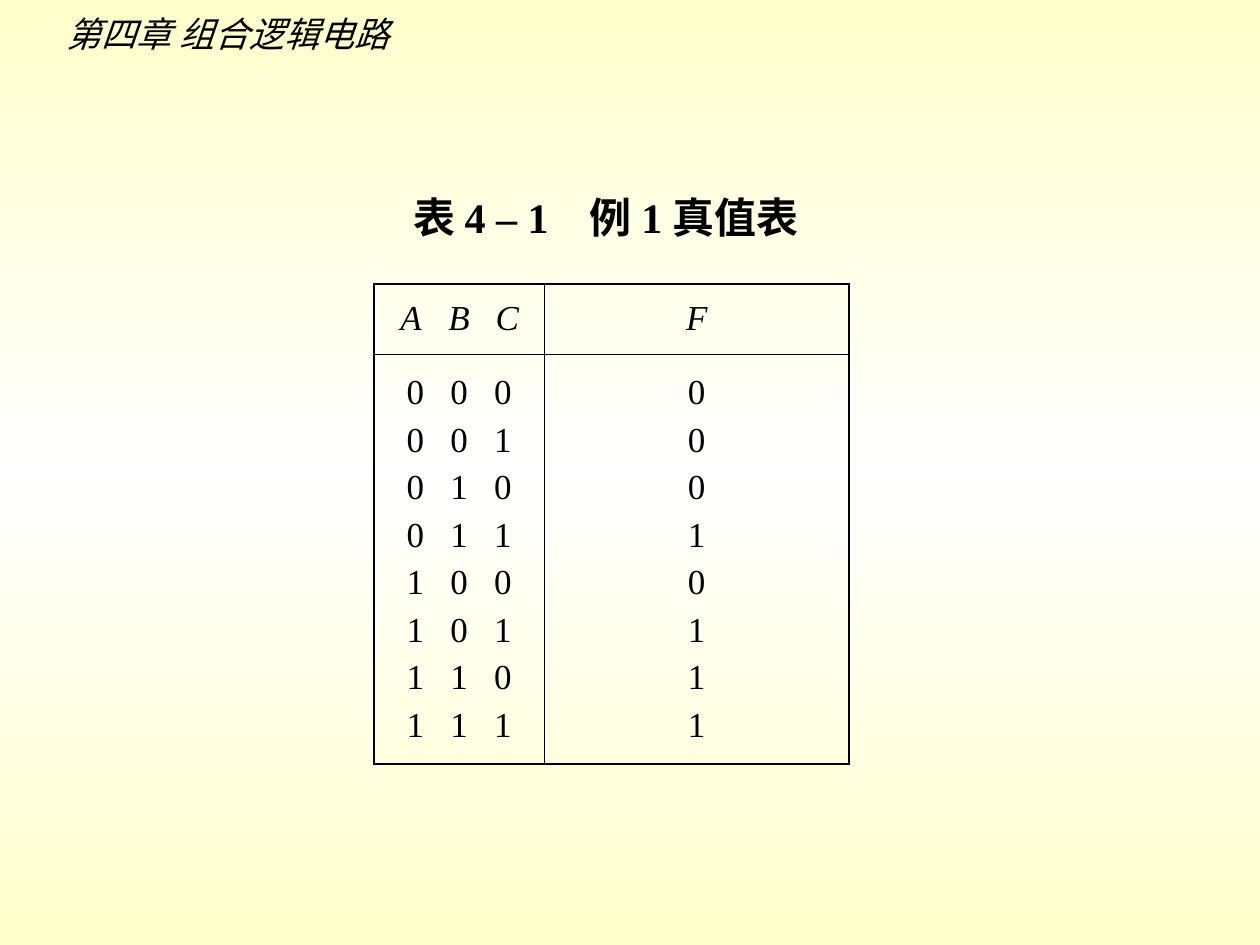
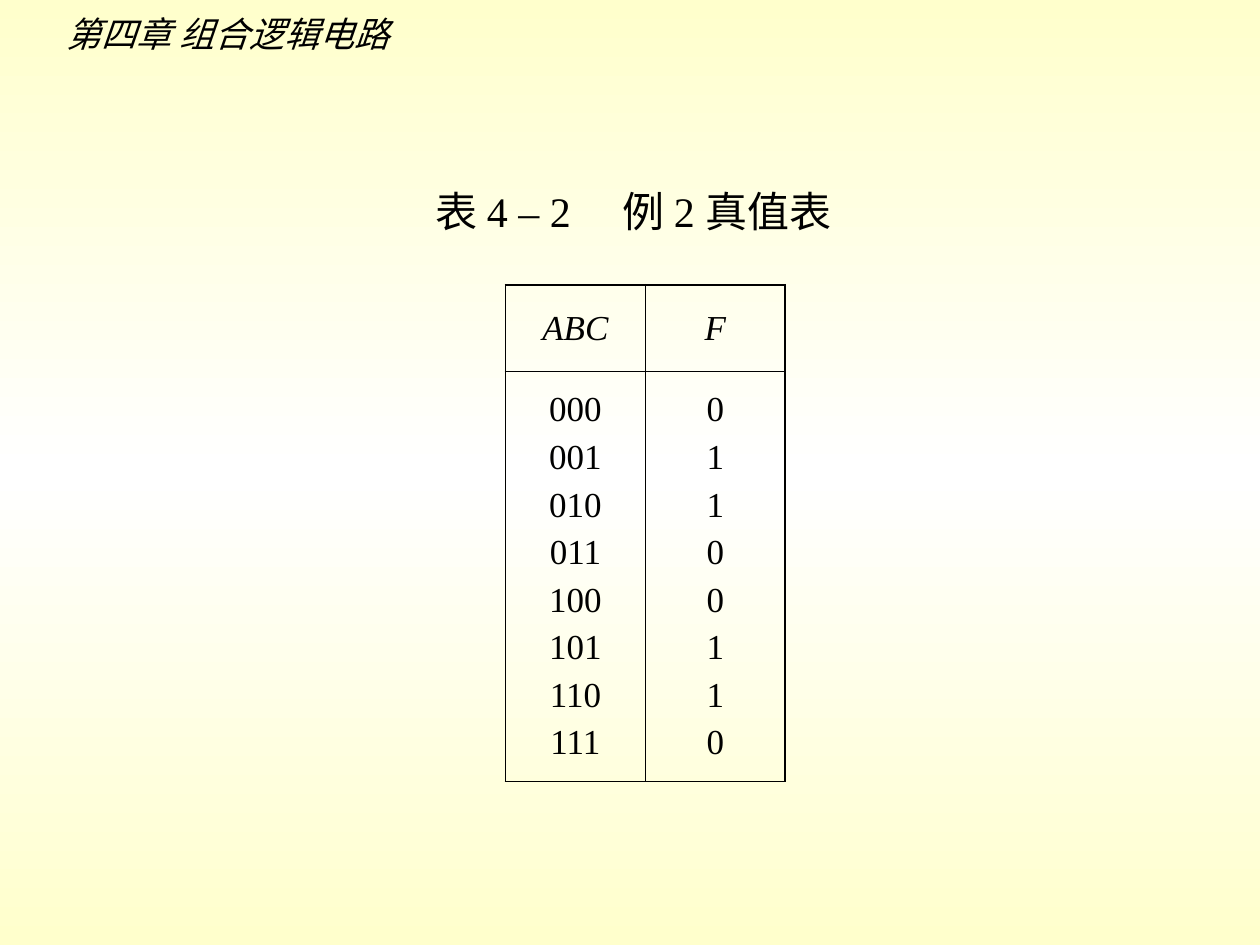
from itertools import product

from copy import deepcopy
from lxml.etree import SubElement
from pptx import Presentation
from pptx.dml.color import RGBColor
from pptx.enum.text import MSO_ANCHOR, PP_ALIGN
from pptx.oxml.ns import qn
from pptx.util import Cm, Pt

INK = "000000"
CREAM = "FFFFCC"
WHITE = "FFFFFF"
SERIF = "Times New Roman"
SANS = "Noto Sans CJK SC"
CHAPTER = "第四章 组合逻辑电路"
OUTER_LINE = Pt(1.08)
INNER_LINE = Pt(0.45)
CELL_INSET = Cm(0.25)


def color(hex_text):
    return RGBColor.from_string(hex_text)


def paint_background(master):
    fill = master.background.fill
    fill.gradient()
    fill.gradient_angle = 90
    for stop in fill.gradient_stops:
        stop.color.rgb = color(CREAM)
    first = master.element.find(".//" + qn("a:gs"))
    first.addnext(deepcopy(first))
    middle = fill.gradient_stops[1]
    middle.position = 0.5
    middle.color.rgb = color(WHITE)


def add_tabs(para, positions, align):
    tabs = SubElement(para._p.get_or_add_pPr(), qn("a:tabLst"))
    for position in positions:
        SubElement(tabs, qn("a:tab"), pos=str(int(position)), algn=align)


def style(para, size, name=SERIF, bold=False, italic=False):
    font = para.font
    font.size = Pt(size)
    font.name = name
    font.bold = bold
    font.italic = italic
    font.color.rgb = color(INK)
    latin = para._p.pPr.find(".//" + qn("a:latin"))
    east_asian = SubElement(latin.getparent(), qn("a:ea"), typeface=SANS)
    latin.addnext(east_asian)


def add_text(page, text, left, top, width, height, size, tab=None, **look):
    box = page.shapes.add_textbox(Cm(left), Cm(top), Cm(width), Cm(height))
    box.text_frame.word_wrap = True
    para = box.text_frame.paragraphs[0]
    para.text = text
    if tab:
        add_tabs(para, [Cm(tab)], "l")
    style(para, size, **look)


def set_borders(cell, row, column):
    edges = {"L": column == 0, "R": column == 1, "T": row == 0, "B": row == 1}
    properties = cell._tc.get_or_add_tcPr()
    for side, is_outer in edges.items():
        width = OUTER_LINE if is_outer else INNER_LINE
        line = SubElement(properties, qn("a:ln" + side), w=str(int(width)))
        fill = SubElement(line, qn("a:solidFill"))
        SubElement(fill, qn("a:srgbClr"), val=INK)


def fill_cell(cell, lines, column_width, pitch=None, italic=False):
    cell.vertical_anchor = MSO_ANCHOR.MIDDLE
    frame = cell.text_frame
    middle = column_width / 2 - CELL_INSET
    for index, letters in enumerate(lines):
        para = frame.paragraphs[0] if index == 0 else frame.add_paragraph()
        if index:
            para.space_before = Pt(5)
        if pitch:
            para.text = "".join("\t" + letter for letter in letters)
            para.alignment = PP_ALIGN.LEFT
            stops = [middle + step * Cm(pitch) for step in (-1, 0, 1)]
            add_tabs(para, stops, "ctr")
        else:
            para.text = letters
            para.alignment = PP_ALIGN.CENTER
        style(para, 20, italic=italic)


def add_truth_table(page, left, top, widths, heights, outputs, pitches=(None, None)):
    shape = page.shapes.add_table(
        2, 2, Cm(left), Cm(top), Cm(sum(widths)), Cm(sum(heights)))
    table = shape.table
    table.first_row = False
    table.horz_banding = False
    inputs = ["".join(bits) for bits in product("01", repeat=3)]
    content = [[["ABC"], ["F"]], [inputs, outputs]]
    for column, width in enumerate(widths):
        table.columns[column].width = Cm(width)
    for row, height in enumerate(heights):
        table.rows[row].height = Cm(height)
        for column, width in enumerate(widths):
            cell = table.cell(row, column)
            cell.margin_left = cell.margin_right = CELL_INSET
            pitch = pitches[row] if column == 0 else None
            fill_cell(cell, content[row][column], Cm(width), pitch, row == 0)
            set_borders(cell, row, column)
            cell.fill.background()


def add_page(deck):
    page = deck.slides.add_slide(deck.slide_layouts[6])
    add_text(page, CHAPTER, 1.09, 0.13, 7.19, 1.12, 20, name=SANS, italic=True)
    return page


def main():
    deck = Presentation()
    deck.slide_width, deck.slide_height = Cm(25.4), Cm(19.05)
    paint_background(deck.slide_master)

    page = add_page(deck)
    add_text(page, "表 4 – 1\t例 1 真值表", 8.08, 3.73, 8.86, 1.27, 24,
             tab=3.56, bold=True)
    add_truth_table(page, 7.54, 5.72, (3.43, 6.15), (1.42, 8.26),
                    "00010111", pitches=(0.97, 0.88))

    page = add_page(deck)
    add_text(page, "表 4 – 2\t例 2 真值表", 8.53, 3.61, 9.07, 1.27, 24, tab=3.77)
    add_truth_table(page, 10.19, 5.74, (2.82, 2.82), (1.75, 8.26), "01100110")

    deck.save("out.pptx")


if __name__ == "__main__":
    main()
